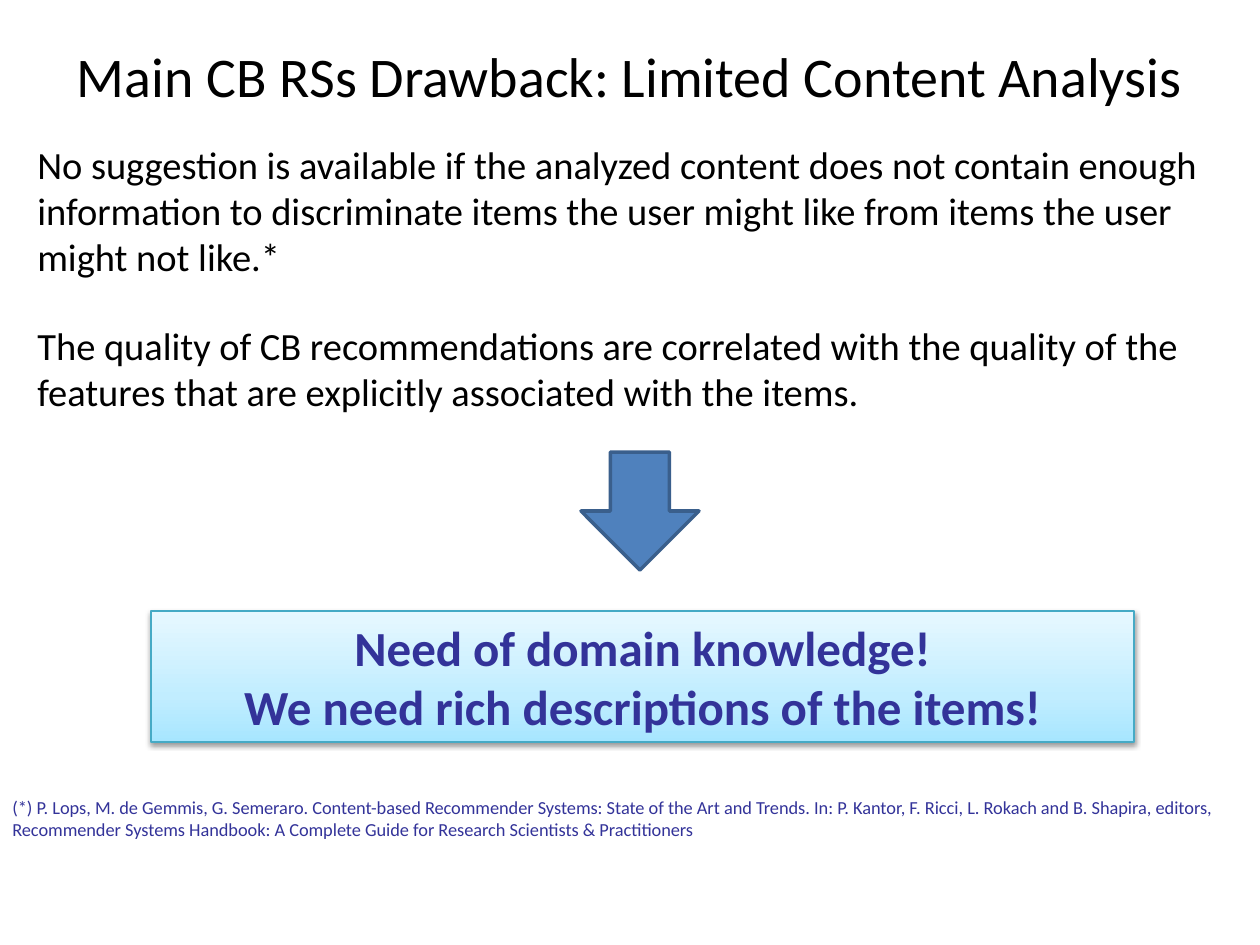
from lxml import etree
from pptx import Presentation
from pptx.dml.color import RGBColor
from pptx.enum.shapes import MSO_SHAPE
from pptx.enum.text import MSO_ANCHOR, PP_ALIGN
from pptx.oxml import parse_xml
from pptx.util import Emu, Pt

RECT, DOWN_ARROW = MSO_SHAPE.RECTANGLE, MSO_SHAPE.DOWN_ARROW
LEFT, CENTER = PP_ALIGN.LEFT, PP_ALIGN.CENTER
TOP, MIDDLE = MSO_ANCHOR.TOP, MSO_ANCHOR.MIDDLE
PX = 914400 // 126
NS = "http://schemas.openxmlformats.org/drawingml/2006/main"
BLACK, INDIGO = "000000", "333399"

# Content: boxes are left, top, width, height in px
TITLE = "Main CB RSs Drawback: Limited Content Analysis"
TITLE_BOX = (63, -4, 1134, 158)
TEXTS = [
    ("No suggestion is available if the analyzed content does not contain enough "
     "information to discriminate items the user might like from items the user "
     "might not like.*", (25, 135, 1235, 152), 22, BLACK),
    ("The quality of CB recommendations are correlated with the quality of the "
     "features that are explicitly associated with the items.",
     (25, 316, 1171, 106), 22, BLACK),
    ("(*) P. Lops, M. de Gemmis, G. Semeraro. Content-based Recommender Systems: "
     "State of the Art and Trends. In: P. Kantor, F. Ricci, L. Rokach and B. Shapira, "
     "editors, Recommender Systems Handbook: A Complete Guide for Research Scientists "
     "& Practitioners", (0, 790, 1235, 59), 10.5, INDIGO),
]
ARROW_BOX = (581, 452, 118, 118)
CALLOUT = ["Need of domain knowledge!", "We need rich descriptions of the items!"]
CALLOUT_BOX = (151, 611, 983, 131)
CALLOUT_STOPS = [(0, "A7E6FF"), (35, "C1EDFF"), (100, "E7F8FF")]


def emu(box):
    return [Emu(v * PX) for v in box]


def rgb(value):
    return RGBColor.from_string(value)


def write(sp, *lines, size, color=BLACK, bold=False, align=LEFT, anchor=TOP):
    tf = sp.text_frame
    tf.word_wrap = True
    tf.vertical_anchor = anchor
    for i, line in enumerate(lines):
        p = tf.add_paragraph() if i else tf.paragraphs[0]
        p.alignment = align
        r = p.add_run()
        r.text = line
        r.font.name, r.font.size, r.font.bold = "Calibri", Pt(size), bold
        r.font.color.rgb = rgb(color)


def add_shape(s, kind, box, line, width):
    sp = s.shapes.add_shape(kind, *emu(box))
    sp.shadow.inherit = False
    sp.line.color.rgb = rgb(line)
    sp.line.width = Pt(width)
    return sp


def fill_gradient(sp, stops, angle):
    sp.fill.gradient()
    sp.fill.gradient_angle = angle
    gs_list = sp.element.spPr.find(f".//{{{NS}}}gsLst")
    gs_list.clear()
    for pos, color in stops:
        gs = etree.SubElement(gs_list, f"{{{NS}}}gs", pos=str(pos * 1000))
        etree.SubElement(gs, f"{{{NS}}}srgbClr", val=color)


def add_shadow(sp):
    effects = sp.element.spPr.find(f"{{{NS}}}effectLst")
    effects.append(parse_xml(
        f'<a:outerShdw xmlns:a="{NS}" blurRad="40000" dist="20000" dir="5400000" '
        'rotWithShape="0"><a:srgbClr val="000000"><a:alpha val="38000"/></a:srgbClr>'
        '</a:outerShdw>'))


prs = Presentation()
prs.slide_width, prs.slide_height = emu((1260, 945))
s = prs.slides.add_slide(prs.slide_layouts[5])

# Title
title = s.shapes.title
title.left, title.top, title.width, title.height = emu(TITLE_BOX)
write(title, TITLE, size=32, align=CENTER, anchor=MIDDLE)

# Callout
callout = add_shape(s, RECT, CALLOUT_BOX, "46AAC5", 0.75)
fill_gradient(callout, CALLOUT_STOPS, 90)
add_shadow(callout)
write(callout, *CALLOUT, size=28, color=INDIGO, bold=True, align=CENTER)

# Statements and footnote
for text, box, size, color in TEXTS:
    write(s.shapes.add_textbox(*emu(box)), text, size=size, color=color)

# Arrow down to the callout
arrow = add_shape(s, DOWN_ARROW, ARROW_BOX, "3A5F8C", 2)
arrow.fill.solid()
arrow.fill.fore_color.rgb = rgb("4F81BD")

prs.save("out.pptx")
